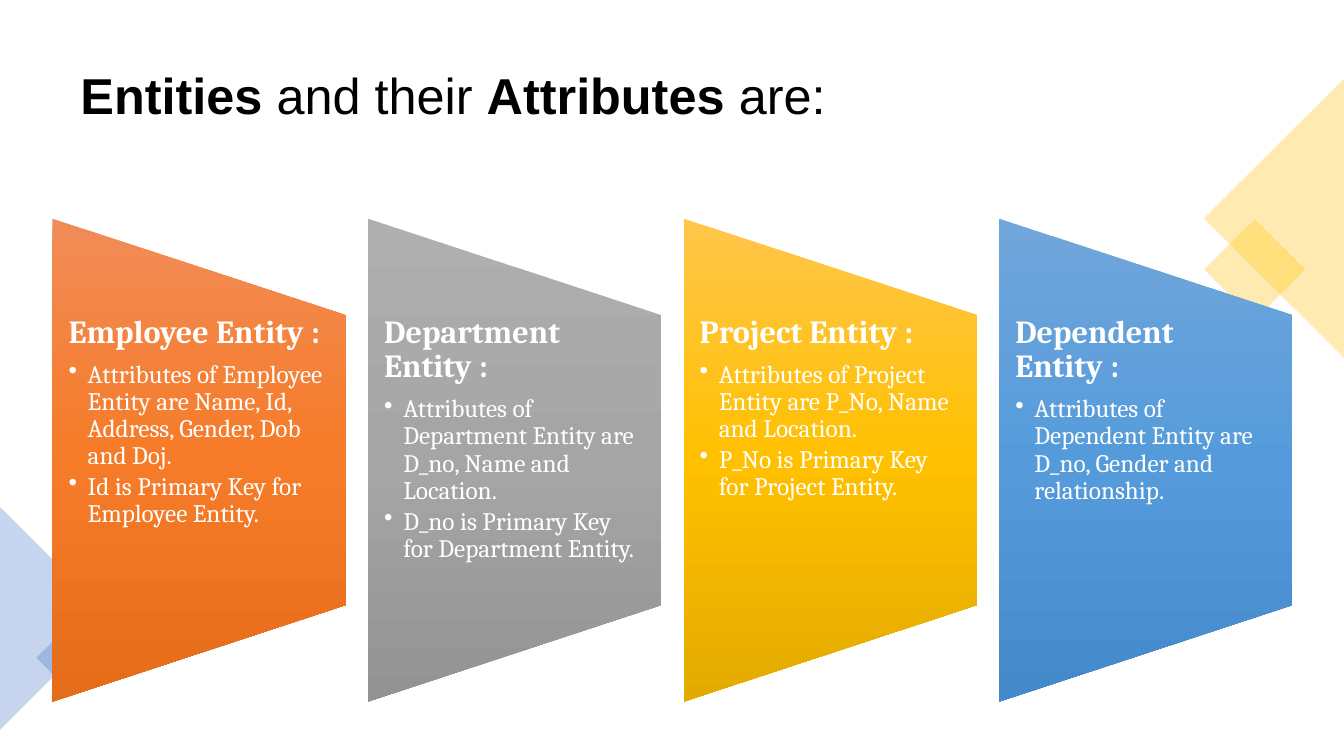
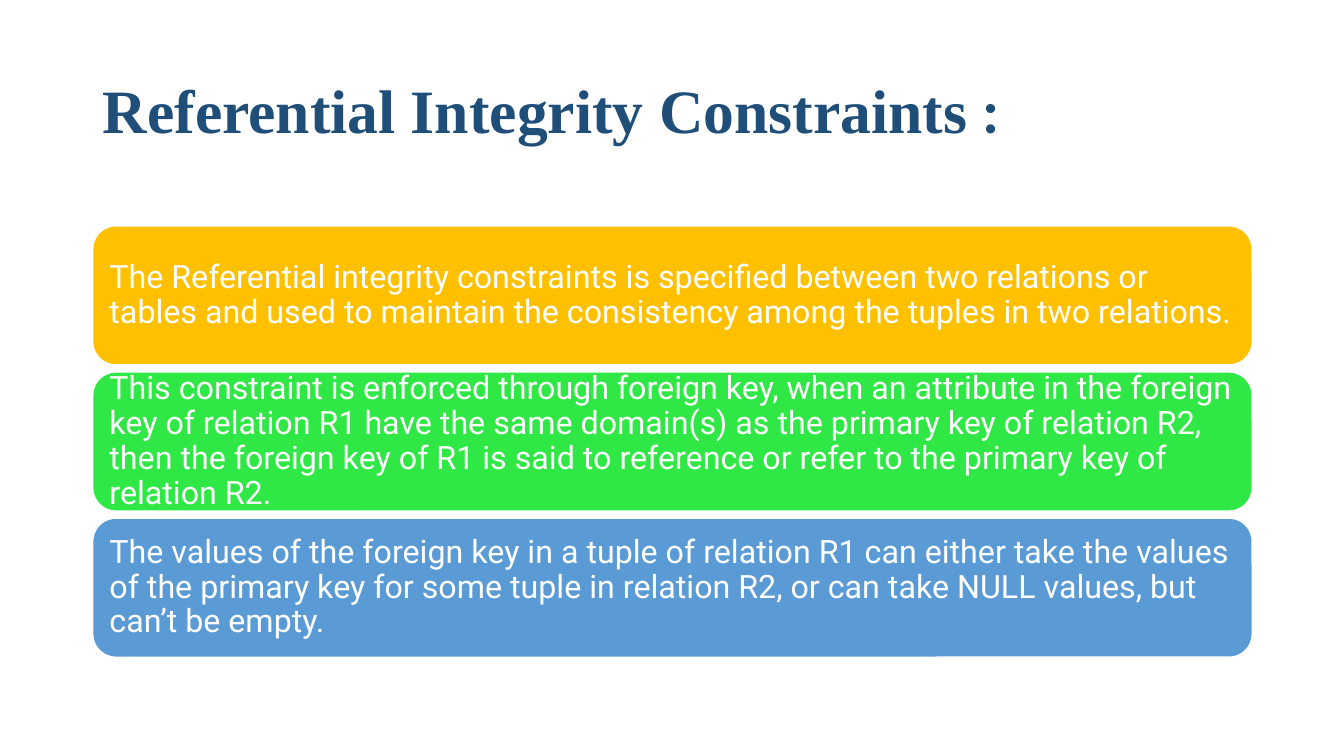
from lxml import etree
from pptx import Presentation
from pptx import util as u
from pptx.dml.color import RGBColor
from pptx.enum import shapes, text
from pptx.oxml import parse_xml
from pptx.oxml.ns import nsdecls, qn

COLORS = {
    "black": "000000", "white": "FFFFFF", "navy": "1F4E79",
    "gold": "FFC000", "green": "30E845", "blue": "5B9BD5", "indigo": "4472C4",
}
GRADIENTS = {
    "orange": ("F18C57", "F67B28", "E56C19"),
    "gray": ("AFAFAF", "A5A5A5", "939393"),
    "gold": ("FFC64B", "FFC000", "E3AB00"),
    "blue": ("71A6DB", "559BDB", "448ACA"),
}
BOX_STYLE = {"word_wrap": True, "auto_size": text.MSO_AUTO_SIZE.NONE}
SHAPE = shapes.MSO_SHAPE

# Slide 1 content: heading, gradient, bullets
ENTITIES = [
    ("Employee Entity :", "orange", [
        "Attributes of Employee Entity are Name, Id, Address, Gender, Dob and Doj.",
        "Id is Primary Key for Employee Entity."]),
    ("Department Entity :", "gray", [
        "Attributes of Department Entity are D_no, Name and Location.",
        "D_no is Primary Key for Department Entity."]),
    ("Project Entity :", "gold", [
        "Attributes of Project Entity are P_No, Name and Location.",
        "P_No is Primary Key for Project Entity."]),
    ("Dependent Entity :", "blue", [
        "Attributes of Dependent Entity are D_no, Gender and relationship."]),
]

# Slide 1 corner accents: preset, unrotated box, rotation, color
ACCENTS = [
    (SHAPE.RECTANGLE, (12.09, 2.32, 0.71, 0.71), 45, "gold"),
    (SHAPE.ISOSCELES_TRIANGLE, (11.25, 1.47, 2.77, 1.39), 270, "gold"),
    (SHAPE.ISOSCELES_TRIANGLE, (-0.55, 5.58, 2.21, 1.11), 90, "indigo"),
    (SHAPE.RECTANGLE, (0.47, 6.26, 0.53, 0.53), 45, "indigo"),
]

# Slide 2 content: color, statement
CONSTRAINTS = [
    ("gold", "The Referential integrity constraints is specified between two "
             "relations or tables and used to maintain the consistency among the "
             "tuples in two relations."),
    ("green", "This constraint is enforced through foreign key, when an attribute in "
              "the foreign key of relation R1 have the same domain(s) as the primary "
              "key of relation R2, then the foreign key of R1 is said to reference or "
              "refer to the primary key of relation R2."),
    ("blue", "The values of the foreign key in a tuple of relation R1 can either take "
             "the values of the primary key for some tuple in relation R2, or can take "
             "NULL values, but can’t be empty."),
]


def apply(target, values):
    for name, value in values.items():
        setattr(target, name, value)


def rgb(name):
    return RGBColor.from_string(COLORS[name])


def set_frame(frame, anchor, side, vertical):
    apply(frame, BOX_STYLE | {
        "vertical_anchor": anchor,
        "margin_left": u.Inches(side), "margin_right": u.Inches(side),
        "margin_top": u.Inches(vertical), "margin_bottom": u.Inches(vertical)})


def add_text_box(slide, box, anchor, side, vertical):
    frame = slide.shapes.add_textbox(*map(u.Inches, box)).text_frame
    set_frame(frame, anchor, side, vertical)
    return frame


def write_paragraph(paragraph, runs, size, color, space_after=0):
    """Write (text, font name, bold) runs with the shared line spacing."""
    apply(paragraph, {"line_spacing": 0.9, "space_after": u.Pt(space_after),
                      "alignment": text.PP_ALIGN.LEFT})
    for words, font_name, bold in runs:
        run = paragraph.add_run()
        run.text = words
        apply(run.font, {"name": font_name, "size": u.Pt(size), "bold": bold})
        run.font.color.rgb = rgb(color)


def add_title(slide, box, runs, size, color):
    frame = add_text_box(slide, box, text.MSO_ANCHOR.MIDDLE, 0.1, 0.05)
    write_paragraph(frame.paragraphs[0], runs, size, color)


def add_plain_shape(slide, preset, box, rotation=0):
    shape = slide.shapes.add_shape(preset, *map(u.Inches, box))
    shape.rotation = rotation
    shape.shadow.inherit = False
    shape.line.fill.background()
    return shape


def fill_solid(shape, color):
    shape.fill.solid()
    shape.fill.fore_color.rgb = rgb(color)


def fill_vertical_gradient(shape, stops):
    """Run the gradient down the slide, whatever the shape's rotation."""
    stop_xml = "".join(
        f'<a:gs pos="{index * 50000}"><a:srgbClr val="{color}"/></a:gs>'
        for index, color in enumerate(stops))
    gradient = parse_xml(
        f'<a:gradFill {nsdecls("a")} rotWithShape="0"><a:gsLst>{stop_xml}</a:gsLst>'
        '<a:lin ang="5400000" scaled="0"/></a:gradFill>')
    shape._element.spPr.find(qn("a:prstGeom")).addnext(gradient)


def add_bullet(paragraph, indent):
    properties = paragraph._p.get_or_add_pPr()
    properties.set("marL", str(u.Inches(indent)))
    properties.set("indent", str(-u.Inches(indent)))
    etree.SubElement(properties, qn("a:buChar")).set("char", "•")


def add_accents(slide):
    for preset, box, rotation, color in ACCENTS:
        shape = add_plain_shape(slide, preset, box, rotation)
        fill_solid(shape, color)
        color_element = shape._element.spPr.find(".//" + qn("a:srgbClr"))
        etree.SubElement(color_element, qn("a:alpha")).set("val", "30000")


def add_entity_panel(slide, box, heading, gradient, bullets):
    left, top, width, height = box
    # Trapezoid lies on its side, so its box is turned about the same centre
    shift = (height - width) / 2
    panel = add_plain_shape(slide, SHAPE.FLOWCHART_MANUAL_OPERATION,
                            (left - shift, top + shift, height, width), 270)
    fill_vertical_gradient(panel, GRADIENTS[gradient])
    # Text fills the middle three fifths
    frame = add_text_box(slide, (left, top + height / 5, width, height * 3 / 5),
                         text.MSO_ANCHOR.TOP, 0.16, 0)
    write_paragraph(frame.paragraphs[0], [(heading, "Cambria", True)], 23, "white", 8)
    for bullet in bullets:
        paragraph = frame.add_paragraph()
        add_bullet(paragraph, 0.19)
        write_paragraph(paragraph, [(bullet, "Cambria", False)], 18, "white", 2.7)


def add_constraint_card(slide, box, color, statement):
    card = add_plain_shape(slide, SHAPE.ROUNDED_RECTANGLE, box)
    fill_solid(card, color)
    card.line.color.rgb = rgb("white")
    card.line.width = u.Pt(1)
    set_frame(card.text_frame, text.MSO_ANCHOR.MIDDLE, 0.1, 0.1)
    write_paragraph(card.text_frame.paragraphs[0], [(statement, "Roboto", False)],
                    23, "white")


def build_entities_slide(slide):
    add_title(slide, (0.7, 0.35, 11.93, 1.24),
              [("Entities", "Arial", True), (" and their ", "Arial", False),
               ("Attributes", "Arial", True), (" are:", "Arial", False)],
              36, "black")
    add_accents(slide)
    left, top, width, height, step = 0.52, 2.17, 2.91, 4.79, 3.13
    for index, entity in enumerate(ENTITIES):
        add_entity_panel(slide, (left + index * step, top, width, height), *entity)


def build_constraints_slide(slide):
    left, top, width, height, step = 0.92, 2.24, 11.5, 1.38, 1.45
    add_title(slide, (left, 0.4, width, 1.45),
              [("Referential Integrity Constraints", "Times New Roman", True),
               (" :", "Calibri", True)], 44, "navy")
    for index, constraint in enumerate(CONSTRAINTS):
        add_constraint_card(slide, (left, top + index * step, width, height),
                            *constraint)


def main():
    presentation = Presentation()
    presentation.slide_width = u.Inches(13.33)
    presentation.slide_height = u.Inches(7.5)
    blank = presentation.slide_layouts[6]
    for build in (build_entities_slide, build_constraints_slide):
        build(presentation.slides.add_slide(blank))
    presentation.save("out.pptx")


if __name__ == "__main__":
    main()
